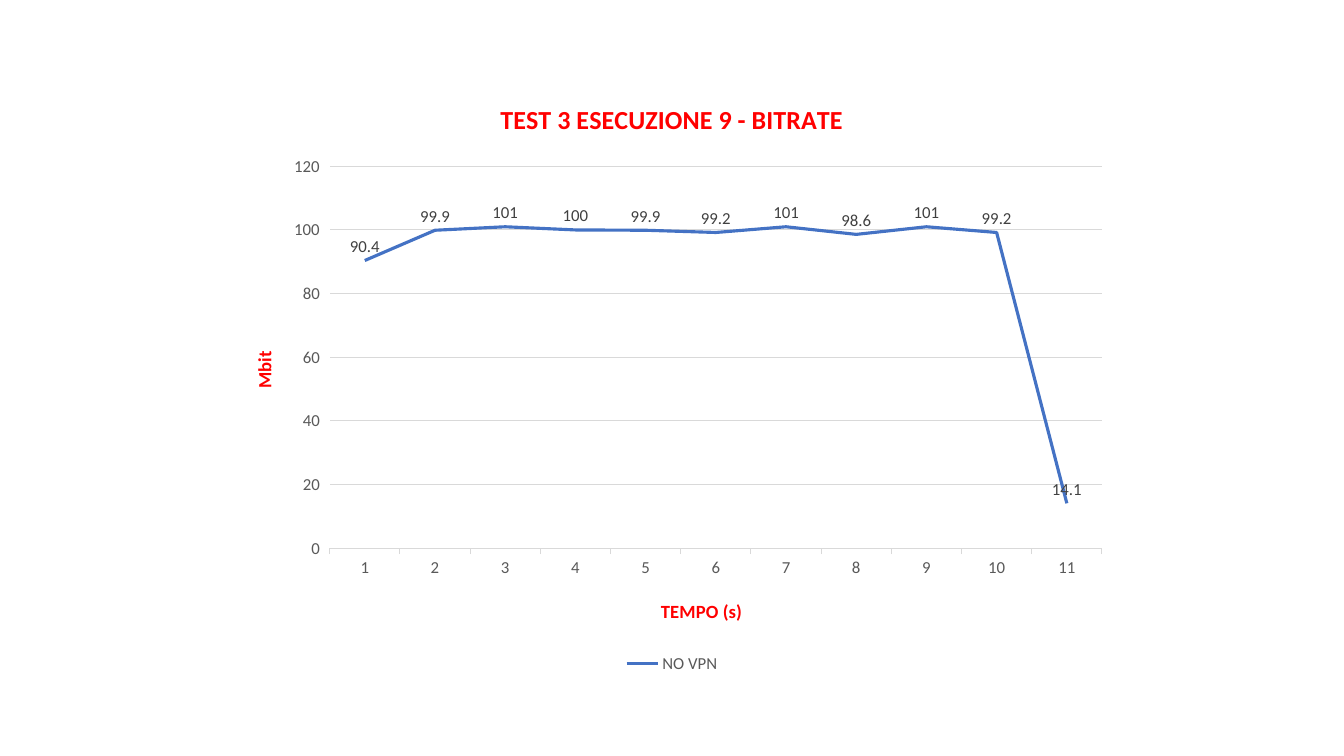
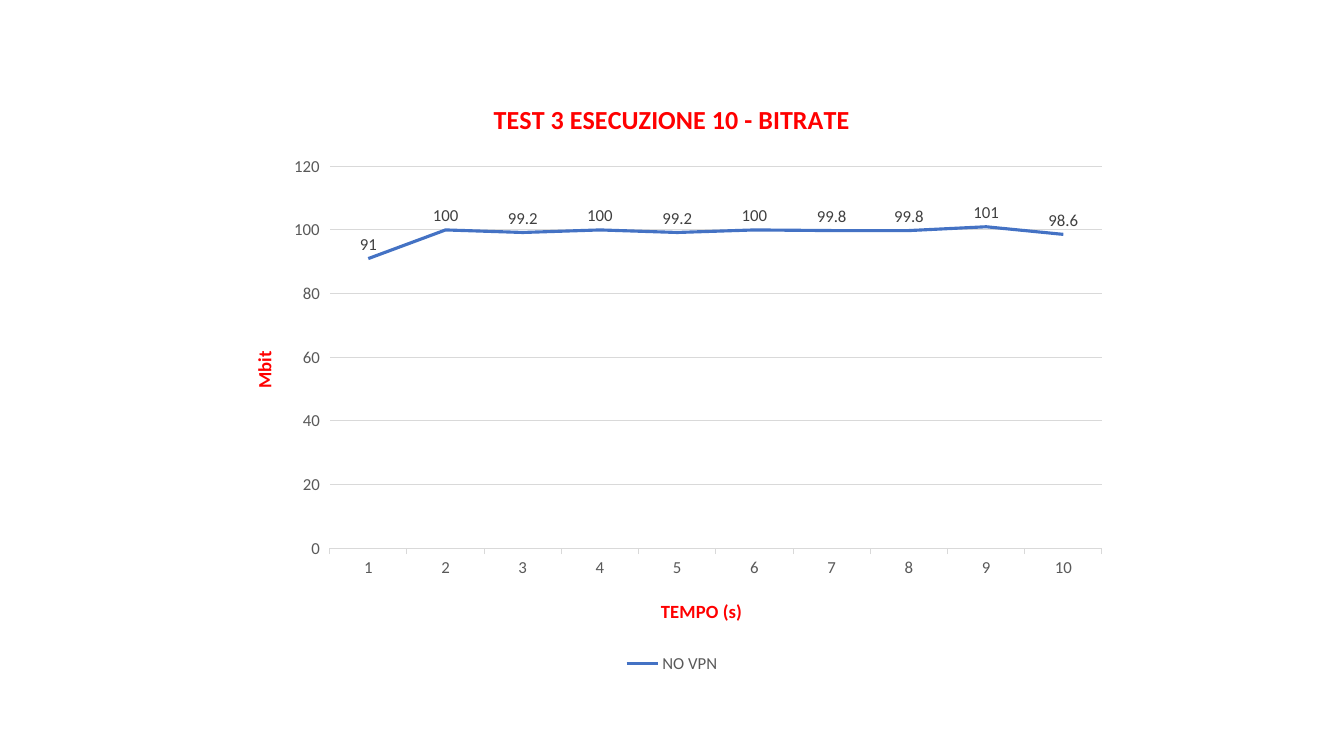
"""Build two slides, each with the bitrate line chart of one test run."""
from lxml import etree
from pptx import Presentation
from pptx.chart.data import CategoryChartData
from pptx.dml.color import RGBColor
from pptx.enum.chart import (XL_CHART_TYPE, XL_LABEL_POSITION as LABEL_POS,
                             XL_LEGEND_POSITION as LEGEND_POS, XL_MARKER_STYLE,
                             XL_TICK_MARK as TICK)
from pptx.oxml.ns import qn
from pptx.util import Inches, Pt

RUNS = [
    ("TEST 3 ESECUZIONE 9 - BITRATE",
     [90.4, 99.9, 101, 100, 99.9, 99.2, 101, 98.6, 101, 99.2, 14.1]),
    ("TEST 3 ESECUZIONE 10 - BITRATE",
     [91, 100, 99.2, 100, 99.2, 100, 99.8, 99.8, 101, 98.6]),
]
SERIES_NAME, TIME_TITLE, RATE_TITLE = "NO VPN", "TEMPO (s)", "Mbit"

FONT = "Calibri"
RED = RGBColor(0xFF, 0x00, 0x00)
BLUE = RGBColor(0x44, 0x72, 0xC4)
GRID_GRAY = RGBColor(0xD9, 0xD9, 0xD9)
TEXT_GRAY = RGBColor(0x59, 0x59, 0x59)
LABEL_GRAY = RGBColor(0x40, 0x40, 0x40)

CHART_BOX = (2.22, 0.79, 8.89, 5.93)
PLOT_BOX = (3.27, 1.65, 7.66, 3.79)
TIME_TITLE_AT = (6.52, 5.9)
RATE_TITLE_AT = (2.46, 3.45)


def set_font(font, size, color, bold=False):
    font.name, font.size, font.bold = FONT, Pt(size), bold
    font.color.rgb = color


def set_line(line, color, width):
    line.color.rgb = color
    line.width = Pt(width)


def place(layout, left, top, width=None, height=None, inner=False):
    x, y, w, h = CHART_BOX
    manual = etree.SubElement(layout, qn("c:manualLayout"))
    values = [("xMode", "edge"), ("yMode", "edge"),
              ("x", (left - x) / w), ("y", (top - y) / h)]
    if inner:
        values = [("layoutTarget", "inner"), *values,
                  ("w", width / w), ("h", height / h)]
    for tag, value in values:
        etree.SubElement(manual, qn(f"c:{tag}")).set("val", str(value))


def set_title(owner, text, size):
    p = owner.text_frame.paragraphs[0]
    p.text = text
    set_font(p.font, size, RED, True)


def get_layout(parent, index):
    layout = parent.find(qn("c:layout"))
    if layout is None:
        layout = etree.Element(qn("c:layout"))
        parent.insert(index, layout)
    return layout


def style_axis(axis, text, at):
    set_title(axis.axis_title, text, 13.3)
    place(get_layout(axis.axis_title._element, 1), *at)
    set_font(axis.tick_labels.font, 12, TEXT_GRAY)
    axis.minor_tick_mark = TICK.NONE


def add_bitrate_chart(s, title, rates):
    data = CategoryChartData()
    data.categories = [str(i) for i in range(1, len(rates) + 1)]
    data.add_series(SERIES_NAME, rates)
    chart = s.shapes.add_chart(XL_CHART_TYPE.LINE, *map(Inches, CHART_BOX), data).chart
    chart.font.name, chart.font.size = FONT, Pt(10)
    set_title(chart.chart_title, title, 18.6)
    place(get_layout(chart._chartSpace.chart.plotArea, 0), *PLOT_BOX, inner=True)

    chart.has_legend = True
    chart.legend.position = LEGEND_POS.BOTTOM
    chart.legend.include_in_layout = False
    set_font(chart.legend.font, 12, TEXT_GRAY)

    time_axis, rate_axis = chart.category_axis, chart.value_axis
    style_axis(time_axis, TIME_TITLE, TIME_TITLE_AT)
    time_axis.major_tick_mark = TICK.OUTSIDE
    set_line(time_axis.format.line, GRID_GRAY, 0.75)
    style_axis(rate_axis, RATE_TITLE, RATE_TITLE_AT)
    rate_axis.major_tick_mark = TICK.OUTSIDE
    rate_axis.format.line.fill.background()
    rate_axis.minimum_scale, rate_axis.maximum_scale, rate_axis.major_unit = 0, 120, 20
    set_line(rate_axis.major_gridlines.format.line, GRID_GRAY, 0.75)

    plot = chart.plots[0]
    plot.vary_by_categories = False
    series = plot.series[0]
    series.smooth = False
    series.marker.style = XL_MARKER_STYLE.NONE
    set_line(series.format.line, BLUE, 2.25)
    labels = series.data_labels
    labels.show_value = True
    labels.position = LABEL_POS.ABOVE
    set_font(labels.font, 12, LABEL_GRAY)


def main():
    prs = Presentation()
    prs.slide_width, prs.slide_height = Inches(13.33), Inches(7.5)
    for title, rates in RUNS:
        add_bitrate_chart(prs.slides.add_slide(prs.slide_layouts[6]), title, rates)
    prs.save("out.pptx")


if __name__ == "__main__":
    main()
